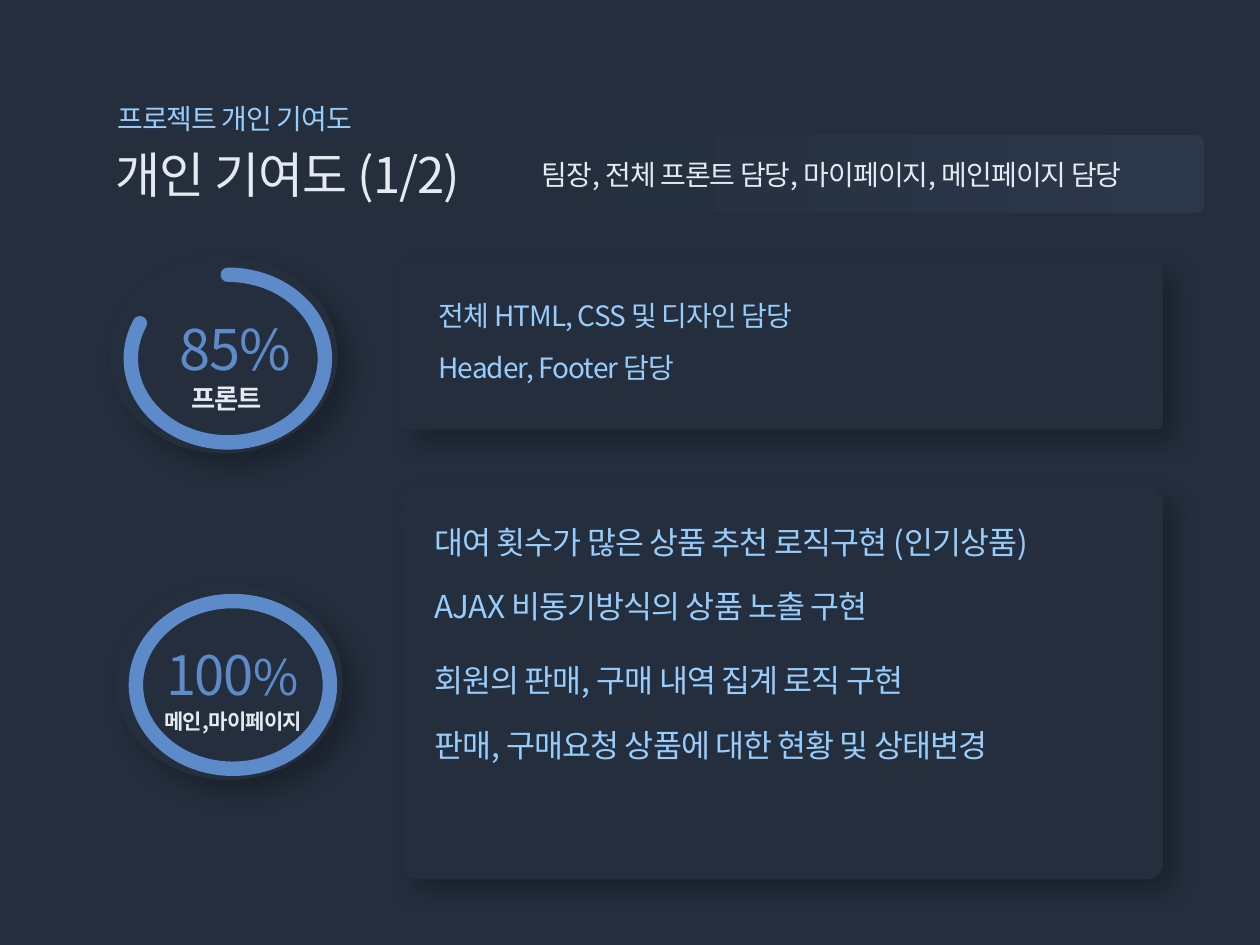
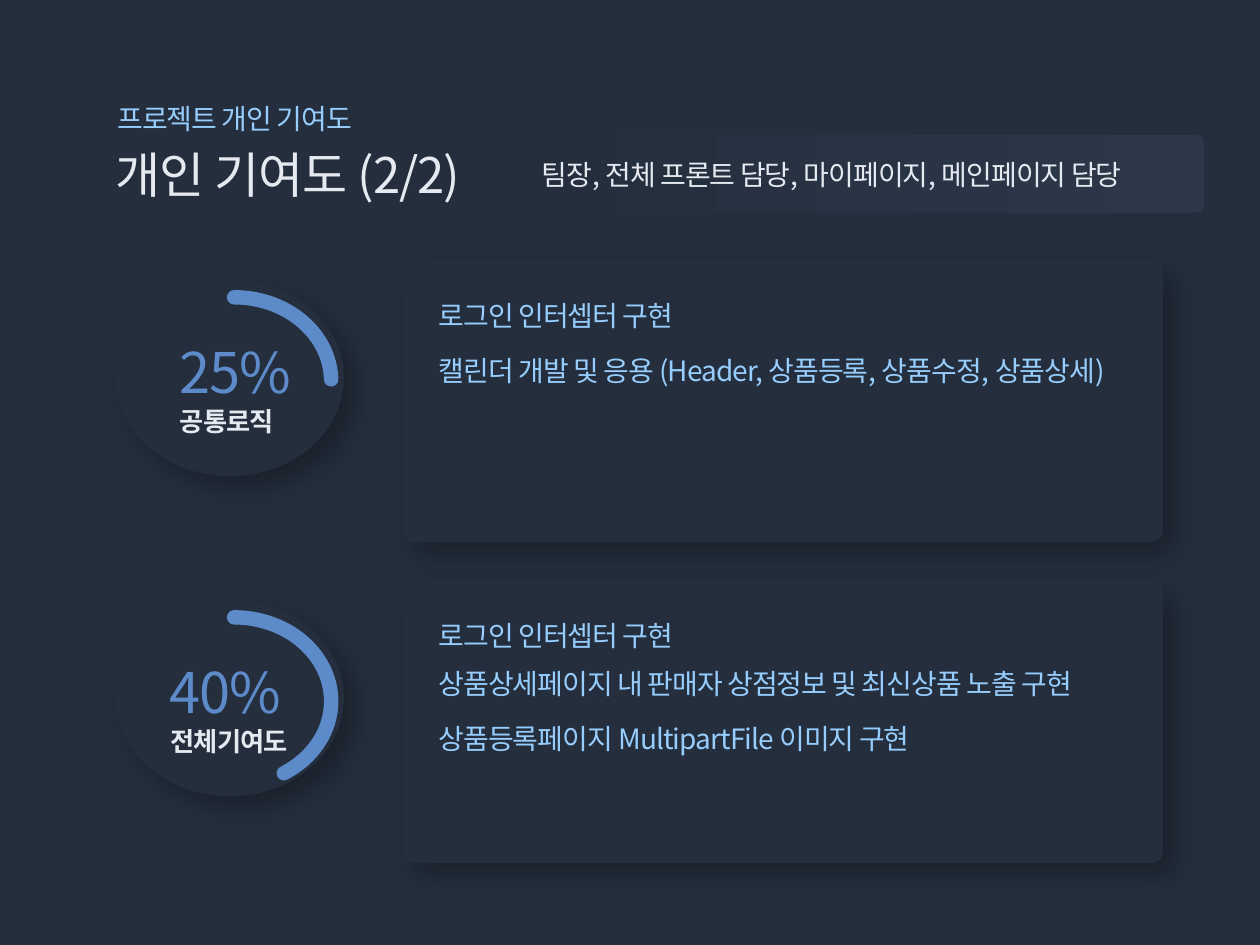
from lxml.etree import SubElement
from pptx import Presentation
from pptx.dml.color import RGBColor
from pptx.enum.shapes import MSO_SHAPE as Shape
from pptx.enum.text import MSO_ANCHOR as Anchor, MSO_AUTO_SIZE as AutoSize, PP_ALIGN as Align
from pptx.oxml.ns import qn
from pptx.util import Pt

FONT = "Noto Sans CJK KR"
NAVY, BAND_END, SHADE = "242E3D", "2C384A", "10141A"
SKY, BLUE, WHITE = "97CDFC", "5D8AC8", "E5E9F0"
MARGINS = ("margin_left", "margin_top", "margin_right", "margin_bottom")

BODY = dict(size=16, color=SKY, spacing=-50)
LARGE_BODY = dict(BODY, size=18)
TITLE = dict(size=28, color=WHITE, spacing=-50)
ROLE = dict(BODY, color=WHITE)
PERCENT = dict(size=32, color=BLUE, spacing=-70)
LABEL = dict(size=15, color=WHITE, spacing=-50, bold=True)


def rgb(value):
    return RGBColor.from_string(value)


class Deck:
    """Holds the shared style and the current slide."""

    def __init__(self):
        self.prs = Presentation()
        self.prs.slide_width, self.prs.slide_height = Pt(720), Pt(540)
        background = self.prs.slide_master.background.fill
        background.solid()
        background.fore_color.rgb = rgb(NAVY)

    def add_slide(self, title):
        self.slide = self.prs.slides.add_slide(self.prs.slide_layouts[5])
        self.line("프로젝트 개인 기여도", 67, 58.3, 143.3)
        heading = self.slide.shapes.title
        for name, value in dict(left=66.2, top=79.2, width=220, height=37.4).items():
            setattr(heading, name, Pt(value))
        self.set_text(heading, [(title, TITLE)], wrap=False, spacing=1.1)
        self.band(297.4, 77, 391, 44.6)
        self.text([("팀장, 전체 프론트 담당, 마이페이지, 메인페이지 담당", ROLE)],
                  309.6, 90, 368, 19.4)

    def set_text(self, shape, runs, wrap=True, align=Align.LEFT, inset=(0, 0), spacing=None):
        frame = shape.text_frame
        settings = dict(word_wrap=wrap, auto_size=AutoSize.SHAPE_TO_FIT_TEXT,
                        vertical_anchor=Anchor.TOP)
        settings.update(zip(MARGINS, [Pt(side) for side in inset * 2]))
        for name, value in settings.items():
            setattr(frame, name, value)
        paragraph = frame.paragraphs[0]
        paragraph.alignment = align
        paragraph.line_spacing = spacing
        for words, style in runs:
            run = paragraph.add_run()
            run.text = words
            values = dict(name=FONT, size=Pt(style["size"]), bold=style.get("bold", False))
            for name, value in values.items():
                setattr(run.font, name, value)
            run.font.color.rgb = rgb(style["color"])
            properties = run._r.get_or_add_rPr()
            properties.set("spc", str(style["spacing"]))
            SubElement(properties, qn("a:ea"), typeface=FONT)

    def text(self, runs, left, top, width, height, **layout):
        box = self.slide.shapes.add_textbox(Pt(left), Pt(top), Pt(width), Pt(height))
        self.set_text(box, runs, **layout)

    def line(self, words, left, top, width):
        self.text([(words, BODY)], left, top, width, 19.4, wrap=False)

    def large_line(self, words, left, top, width):
        self.text([(words, LARGE_BODY)], left, top, width, 28.8,
                  wrap=False, inset=(7.2, 3.6))

    def shape(self, kind, left, top, width, height, adjustments=()):
        shape = self.slide.shapes.add_shape(kind, Pt(left), Pt(top), Pt(width), Pt(height))
        shape.shadow.inherit = False
        shape.line.fill.background()
        for index, value in enumerate(adjustments):
            shape.adjustments[index] = value
        return shape

    def band(self, *place):
        fill = self.shape(Shape.ROUNDED_RECTANGLE, *place, adjustments=[0.11]).fill
        fill.gradient()
        fill.gradient_angle = 0
        for stop, color, position in zip(fill.gradient_stops, (NAVY, BAND_END), (0, 1)):
            stop.color.rgb = rgb(color)
            stop.position = position

    def raised(self, kind, *place, adjustments=()):
        shape = self.shape(kind, *place, adjustments=adjustments)
        shape.fill.solid()
        shape.fill.fore_color.rgb = rgb(NAVY)
        effects = shape._element.spPr.find(qn("a:effectLst"))
        shadow = SubElement(effects, qn("a:outerShdw"), blurRad=str(Pt(15)), dist=str(Pt(10)),
                            dir="2700000", algn="tl", rotWithShape="0")
        color = SubElement(shadow, qn("a:srgbClr"), val=SHADE)
        SubElement(color, qn("a:alpha"), val="47000")

    def card(self, top, height):
        self.raised(Shape.ROUNDED_RECTANGLE, 229.7, top, 434.9, height, adjustments=[0.04])

    def gauge(self, left, top, end_angle, percent, percent_left, label, label_left,
              percent_width=87.8, label_size=15):
        self.raised(Shape.OVAL, left, top, 130.3, 112.3)
        degree = 0.6
        arc = self.shape(Shape.ARC, left + 12.2, top + 10.1, 110.9, 95.8,
                         [270 * degree, end_angle * degree])
        arc.fill.background()
        arc.line.color.rgb = rgb(BLUE)
        arc.line.width = Pt(8.25)
        arc.line._get_or_add_ln().set("cap", "rnd")
        self.text(percent, percent_left, top + 33.1, percent_width, 38.9, align=Align.CENTER)
        self.text([(label, dict(LABEL, size=label_size))], label_left, top + 71.6,
                  95, label_size * 1.2, align=Align.CENTER)


def contribution_front(deck):
    deck.add_slide("개인 기여도 (1/2)")
    deck.gauge(62.6, 146.9, 201.88, [("85%", PERCENT)], 90.7, "프론트", 82.1)
    deck.card(149, 96.5)
    deck.line("전체 HTML, CSS 및 디자인 담당", 250.6, 170.6, 231.8)
    deck.line("Header, Footer 담당", 250.6, 200.2, 160.6)
    full = [("100", dict(PERCENT, size=31)), ("%", dict(PERCENT, size=28))]
    deck.gauge(65.5, 333.4, 269.55, full, 82.1, "메인,마이페이지", 85.7,
               percent_width=101.5, label_size=12)
    deck.card(277.9, 224.6)
    for words, top, width in (
        ("대여 횟수가 많은 상품 추천 로직구현 (인기상품)", 295.2, 378),
        ("AJAX 비동기방식의 상품 노출 구현", 331.9, 291.6),
        ("회원의 판매, 구매 내역 집계 로직 구현", 374.4, 301),
        ("판매, 구매요청 상품에 대한 현황 및 상태변경", 411.1, 361.4),
    ):
        deck.large_line(words, 241.2, top, width)


def contribution_common(deck):
    deck.add_slide("개인 기여도 (2/2)")
    for top in (149, 332.6):
        deck.card(top, 160.6)
    deck.gauge(66.2, 159.8, 358.92, [("25%", PERCENT)], 90.7, "공통로직", 82.1)
    deck.gauge(66.2, 342.7, 55.42, [("40%", PERCENT)], 85, "전체기여도", 83.5)
    for words, top, width in (
        ("로그인 인터셉터 구현", 170.6, 143.3),
        ("캘린더 개발 및 응용 (Header, 상품등록, 상품수정, 상품상세)", 202.3, 413.3),
        ("로그인 인터셉터 구현", 353.5, 143.3),
        ("상품상세페이지 내 판매자 상점정보 및 최신상품 노출 구현", 380.9, 388.8),
        ("상품등록페이지 MultipartFile 이미지 구현", 412.6, 295.9),
    ):
        deck.line(words, 250.6, top, width)


def main():
    deck = Deck()
    contribution_front(deck)
    contribution_common(deck)
    deck.prs.save("out.pptx")


if __name__ == "__main__":
    main()
